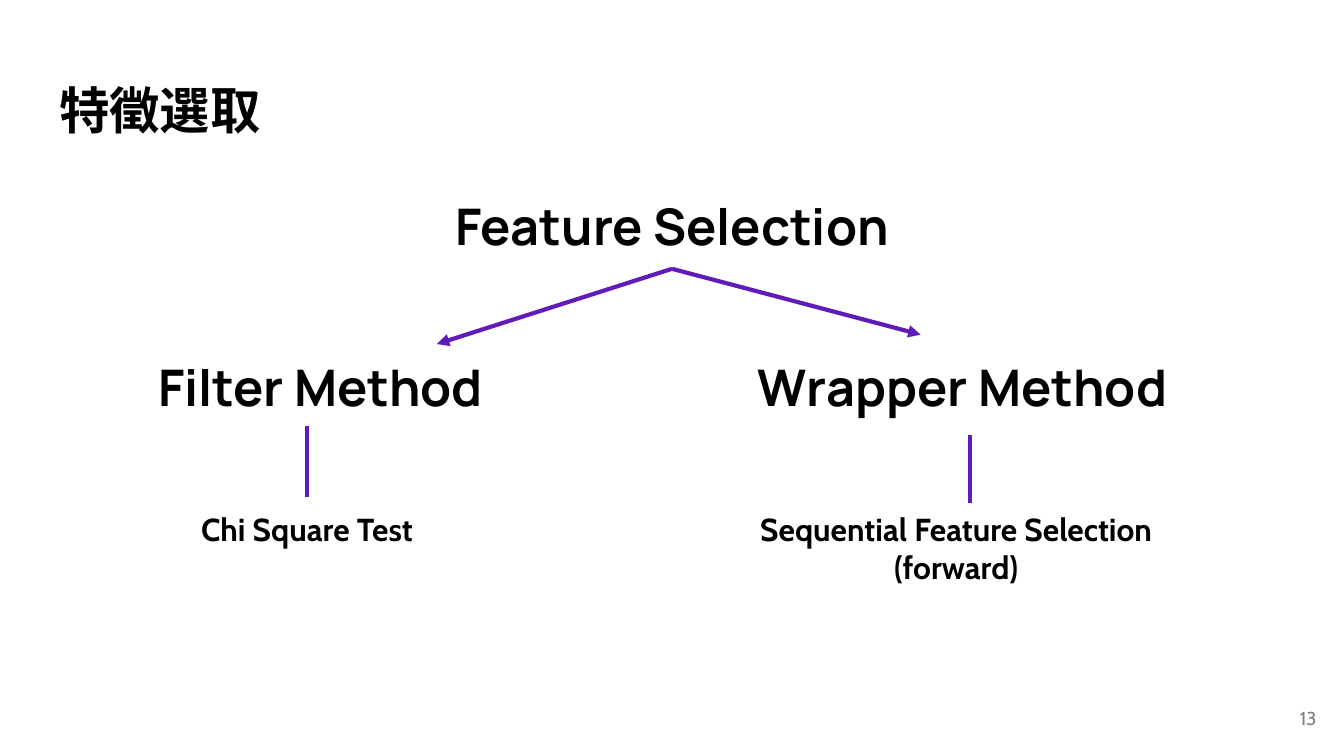
from dataclasses import dataclass

from pptx import Presentation, util as u
from pptx.dml.color import RGBColor
from pptx.enum import shapes, text
from pptx.oxml.ns import qn
from lxml import etree

EMU_PER_PX = 4572


@dataclass(frozen=True)
class Style:
    size: int
    font: str
    color: str
    bold: bool = True


@dataclass(frozen=True)
class Theme:
    heading: Style = Style(27, "Manrope", "000000")
    body: Style = Style(17, "Cabin", "000000")
    number: Style = Style(10, "Cabin", "7F7F7F", False)
    line: str = "611BB8"
    line_width: float = 2.25
    inset: int = 20


THEME = Theme()
LEFT, CENTER, RIGHT = (text.PP_ALIGN.LEFT, text.PP_ALIGN.CENTER,
                       text.PP_ALIGN.RIGHT)
TOP, MIDDLE = text.MSO_ANCHOR.TOP, text.MSO_ANCHOR.MIDDLE


@dataclass(frozen=True)
class Label:
    lines: tuple[str, ...]
    box: tuple[int, int, int, int]
    style: Style
    align: text.PP_ALIGN = LEFT
    anchor: text.MSO_ANCHOR = TOP


@dataclass(frozen=True)
class Link:
    start: tuple[int, int]
    end: tuple[int, int]
    arrow: bool = False


TITLE = Label(("特徵選取",), (68, 98, 1864, 136), THEME.heading)
CHI_SQUARE = Label(("Chi Square Test",), (176, 739, 562, 98),
                   THEME.body, CENTER)
LABELS = (
    Label(("Filter Method",), (216, 510, 1864, 136), THEME.heading),
    Label(("Wrapper Method",), (1108, 510, 782, 136), THEME.heading),
    Label(("Sequential Feature Selection", "(forward)"),
          (1095, 739, 656, 154), THEME.body, CENTER),
    Label(("Feature Selection",), (68, 270, 1864, 136),
          THEME.heading, CENTER),
    Label(("13",), (1859, 1026, 120, 86), THEME.number, RIGHT, MIDDLE),
)
CHI_LINK = Link((457, 634), (457, 739))
LINKS = (
    Link((1000, 400), (650, 512), arrow=True),
    Link((1000, 400), (1370, 498), arrow=True),
    Link((1444, 647), (1444, 748)),
)


def px(n: int) -> u.Emu:
    return u.Emu(n * EMU_PER_PX)


def set_all(target, values: dict) -> None:
    for name, value in values.items():
        setattr(target, name, value)


def write(sp, label: Label) -> None:
    set_all(sp, dict(zip(("left", "top", "width", "height"),
                         map(px, label.box))))
    tf = sp.text_frame
    inset = px(THEME.inset)
    set_all(tf, {
        "word_wrap": True, "auto_size": text.MSO_AUTO_SIZE.NONE,
        "vertical_anchor": label.anchor,
        "margin_left": inset, "margin_top": inset,
        "margin_right": inset, "margin_bottom": inset,
    })
    style = label.style
    for i, line in enumerate(label.lines):
        p = tf.add_paragraph() if i else tf.paragraphs[0]
        p.alignment = label.align
        r = p.add_run()
        r.text = line
        set_all(r.font, {"size": u.Pt(style.size), "name": style.font,
                         "bold": style.bold})
        r.font.color.rgb = RGBColor.from_string(style.color)


def add_label(s, label: Label):
    sp = s.shapes.add_textbox(*map(px, label.box))
    write(sp, label)
    return sp


def add_link(s, link: Link):
    cx = s.shapes.add_connector(shapes.MSO_CONNECTOR.STRAIGHT,
                                *map(px, link.start + link.end))
    cx.line.color.rgb = RGBColor.from_string(THEME.line)
    cx.line.width = u.Pt(THEME.line_width)
    if link.arrow:
        etree.SubElement(cx.line._get_or_add_ln(), qn("a:tailEnd"),
                         type="triangle")
    etree.SubElement(cx._element.spPr, qn("a:effectLst"))
    return cx


def main() -> None:
    prs = Presentation()
    set_all(prs, {"slide_width": px(2000), "slide_height": px(1125)})
    s = prs.slides.add_slide(prs.slide_layouts[5])
    write(s.shapes.title, TITLE)
    for label in LABELS:
        add_label(s, label)
    chi = add_label(s, CHI_SQUARE)
    for link in LINKS:
        add_link(s, link)
    add_link(s, CHI_LINK).end_connect(chi, 0)
    prs.save("out.pptx")


if __name__ == "__main__":
    main()
